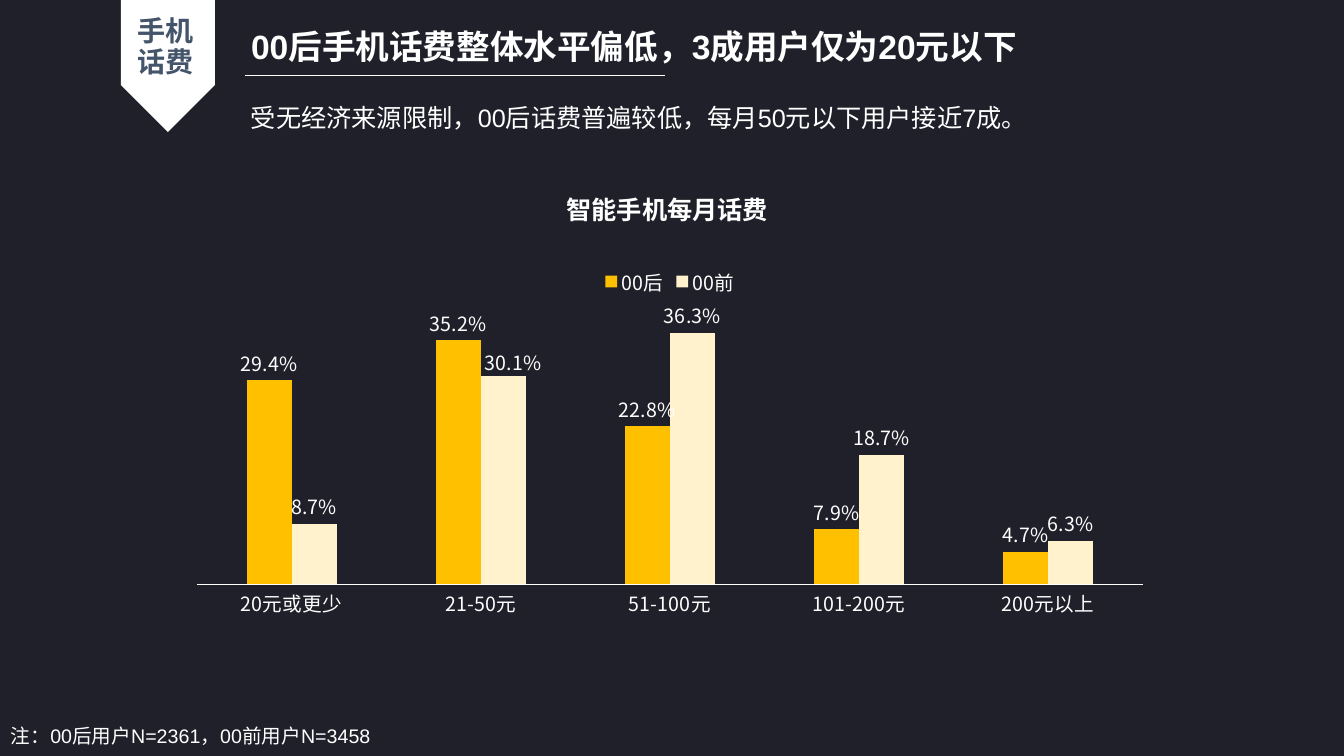
from lxml import etree
from pptx import Presentation
from pptx.chart.data import CategoryChartData
from pptx.dml.color import RGBColor
from pptx.enum.chart import XL_CHART_TYPE, XL_LABEL_POSITION, XL_LEGEND_POSITION, XL_TICK_MARK
from pptx.enum.shapes import MSO_CONNECTOR, MSO_SHAPE
from pptx.enum.text import MSO_ANCHOR, MSO_AUTO_SIZE, PP_ALIGN
from pptx.oxml.ns import qn
from pptx.util import Inches, Pt

COLUMN = XL_CHART_TYPE.COLUMN_CLUSTERED
OUTSIDE = XL_LABEL_POSITION.OUTSIDE_END
TOP = XL_LEGEND_POSITION.TOP
NO_TICK = XL_TICK_MARK.NONE
STRAIGHT = MSO_CONNECTOR.STRAIGHT
PLATE = MSO_SHAPE.PENTAGON
MIDDLE, UPPER = MSO_ANCHOR.MIDDLE, MSO_ANCHOR.TOP
FIXED, GROW = MSO_AUTO_SIZE.NONE, MSO_AUTO_SIZE.SHAPE_TO_FIT_TEXT
LEFT, CENTER = PP_ALIGN.LEFT, PP_ALIGN.CENTER

DARK, WHITE, SLATE = "1F2029", "FFFFFF", "44546A"
GOLD, CREAM = "FFC000", "FFF2CC"
LATIN, HAN = "Arial", "Noto Sans CJK SC"
PERCENT = "###0.0%"


def color(code):
    return RGBColor.from_string(code)


def box(*sizes):
    return [Inches(size) for size in sizes]


def fill(part, code):
    part.fill.solid()
    part.fill.fore_color.rgb = color(code)


def style(font, size, name=HAN, code=WHITE, bold=False):
    font.size = Pt(size)
    font.bold = bold
    font.color.rgb = color(code)
    font.name = name


def write(shape, text, size=18, code=WHITE, bold=False, align=LEFT,
          anchor=UPPER, fit=GROW, space=1.0, inset=0.1):
    frame = shape.text_frame
    frame.word_wrap = True
    frame.auto_size = fit
    frame.vertical_anchor = anchor
    frame.margin_right = Inches(inset)
    par = frame.paragraphs[0]
    par.alignment = align
    par.line_spacing = space
    run = par.add_run()
    run.text = text
    style(run.font, size, LATIN, code, bold)
    east = etree.SubElement(run.font._element, qn("a:ea"))
    east.set("typeface", HAN)


class Page:
    def __init__(self, deck):
        self.slide = deck.slides.add_slide(deck.slide_layouts[5])
        self.shapes = self.slide.shapes
        fill(self.slide.background, DARK)

    def title(self, text, place, **look):
        head = self.shapes.title
        head.left, head.top, head.width, head.height = box(*place)
        write(head, text, **look)

    def text(self, text, place, **look):
        write(self.shapes.add_textbox(*box(*place)), text, **look)

    def shape(self, kind, place, code, turn=0):
        item = self.shapes.add_shape(kind, *box(*place))
        item.shadow.inherit = False
        item.rotation = turn
        fill(item, code)
        item.line.fill.background()

    def line(self, ends, code, width):
        item = self.shapes.add_connector(STRAIGHT, *box(*ends))
        item.line.color.rgb = color(code)
        item.line.width = Pt(width)
        etree.SubElement(item._element.spPr, qn("a:effectLst"))

    def chart(self, place, cats, rows):
        data = CategoryChartData(number_format=PERCENT)
        data.categories = cats
        for name, vals, _ in rows:
            data.add_series(name, vals)
        chart = self.shapes.add_chart(COLUMN, *box(*place), data).chart
        style(chart.font, 14)
        chart.has_title = False
        chart.has_legend = True
        chart.legend.position = TOP
        chart.legend.include_in_layout = False
        style(chart.legend.font, 14)

        base = chart.category_axis
        base.major_tick_mark = base.minor_tick_mark = NO_TICK
        base.format.line.color.rgb = color(WHITE)
        base.format.line.width = Pt(0.75)
        style(base.tick_labels.font, 14)
        scale = chart.value_axis
        scale.visible = False
        scale.has_major_gridlines = False
        scale.minimum_scale, scale.maximum_scale = 0, 0.4

        plot = chart.plots[0]
        plot.gap_width, plot.overlap = 219, 0
        plot.vary_by_categories = False
        for bars, (_, _, code) in zip(plot.series, rows):
            fill(bars.format, code)
            bars.invert_if_negative = False
            tags = bars.data_labels
            tags.show_value = True
            tags.position = OUTSIDE
            tags.number_format = PERCENT
            tags.number_format_is_linked = False
            style(tags.font, 14)
        return chart


def nudge(bars, point, right, down):
    tag = bars.points[point].data_label
    tag.position = OUTSIDE
    style(tag.font, 14)
    node = bars.data_labels._element.find(qn("c:dLbl"))
    place = etree.Element(qn("c:layout"))
    manual = etree.SubElement(place, qn("c:manualLayout"))
    for axis, value in (("x", right), ("y", down)):
        etree.SubElement(manual, qn("c:" + axis)).set("val", str(value))
    node.insert(1, place)


deck = Presentation()
deck.slide_width, deck.slide_height = box(13.33, 7.5)
page = Page(deck)

page.shape(PLATE, (1.01, 0.19, 1.31, 0.93), WHITE, turn=90)
page.line((2.43, 0.75, 6.6, 0.75), WHITE, 0.5)
page.title("00后手机话费整体水平偏低，3成用户仅为20元以下", (2.39, 0.27, 8.19, 0.42),
           size=24, bold=True, anchor=MIDDLE, fit=FIXED, space=0.9, inset=0)
fees = page.chart(
    (1.76, 2.54, 9.77, 3.65),
    ["20元或更少", "21-50元", "51-100元", "101-200元", "200元以上"],
    [("00后", (0.294, 0.352, 0.228, 0.079, 0.047), GOLD),
     ("00前", (0.087, 0.301, 0.363, 0.187, 0.063), CREAM)])
nudge(fees.plots[0].series[1], 1, 0.01, 0.01)
page.text("智能手机每月话费", (5.52, 1.88, 2.52, 0.4), bold=True)
page.text("受无经济来源限制，00后话费普遍较低，每月50元以下用户接近7成。",
          (2.39, 0.97, 10.01, 0.4))
page.text("注：00后用户N=2361，00前用户N=3458", (0.01, 7.13, 5.59, 0.34), size=14)
page.text("手机话费", (1.24, 0.12, 0.81, 0.71), size=20, code=SLATE, bold=True,
          align=CENTER, anchor=MIDDLE, fit=FIXED, space=0.9)

deck.save("out.pptx")
